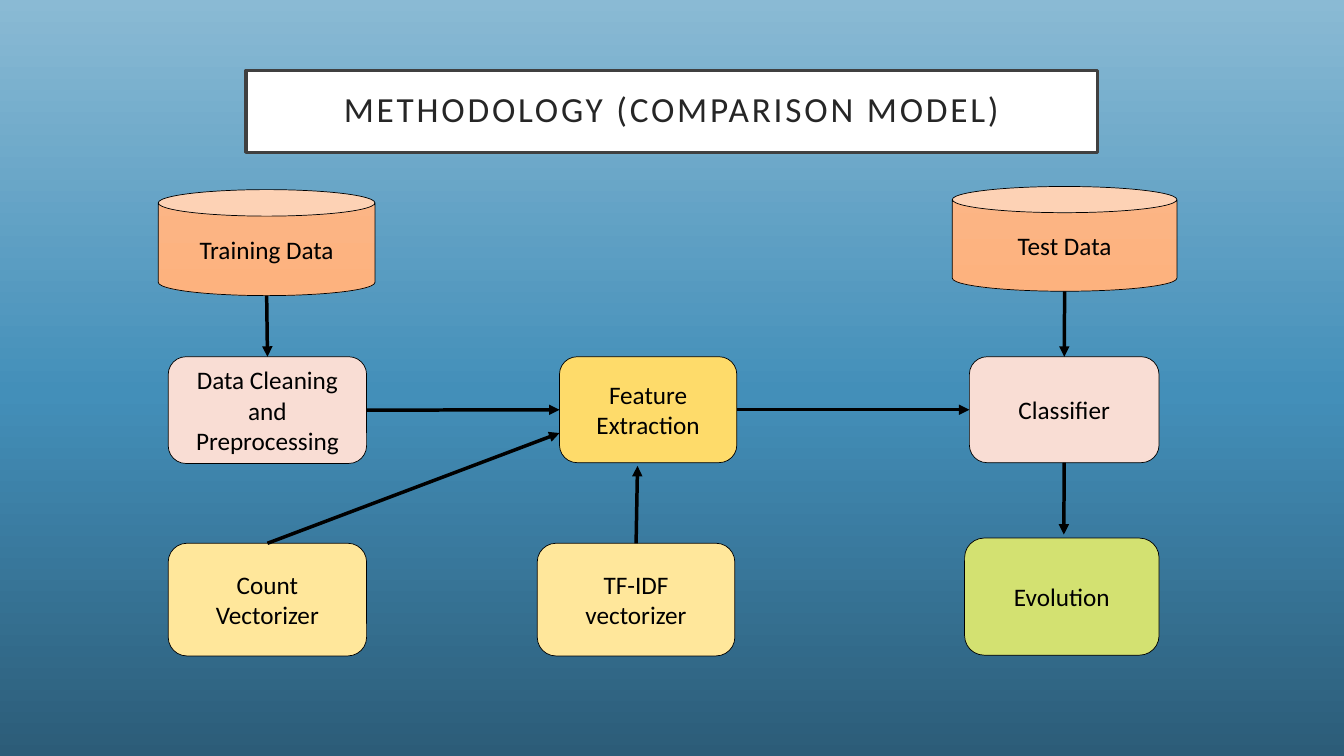
from lxml import etree
from pptx import Presentation
from pptx.dml.color import RGBColor
from pptx.enum.shapes import MSO_CONNECTOR, MSO_SHAPE as Preset
from pptx.enum.text import MSO_ANCHOR, PP_ALIGN
from pptx.oxml.ns import qn
from pptx.util import Cm, Pt

BLACK, WHITE = "000000", "FFFFFF"
PEACH, ROSE, CREAM, GOLD, LIME = (
    ("FCB585", "FDB27E"), "F9DDD4", "FFE79B", "FEDB6A", "D3E171")
SKY = [(0, "2C5C78"), (48, "438FB9"), (100, "8ABAD4")]


def color(value):
    return RGBColor.from_string(value)


class Diagram:
    """Style of the flow diagram and the slide it is drawn on."""

    font = "Calibri"
    text_size = 18
    box_line = 0.5
    arrow_line = 2.5

    def __init__(self, slide):
        self.slide = slide

    def gradient(self, fill, element, stops, angle):
        """Fill with (percent, colour) stops; the angle runs clockwise."""
        fill.gradient()
        fill.gradient_angle = 360 - angle
        stop_list = element.xpath(".//a:gsLst")[0]
        for old_stop in list(stop_list):
            stop_list.remove(old_stop)
        for percent, value in stops:
            stop = etree.SubElement(stop_list, qn("a:gs"), pos=str(percent * 1000))
            etree.SubElement(stop, qn("a:srgbClr"), val=value)

    def background(self, stops, angle):
        self.gradient(self.slide.background.fill, self.slide.element, stops, angle)

    def outline(self, line, value, width):
        line.color.rgb = color(value)
        line.width = Pt(width)

    def label(self, shape, text, size, text_color):
        frame = shape.text_frame
        formats = {"word_wrap": True, "vertical_anchor": MSO_ANCHOR.MIDDLE}
        for name, value in formats.items():
            setattr(frame, name, value)
        paragraph = frame.paragraphs[0]
        paragraph.alignment = PP_ALIGN.CENTER
        run = paragraph.add_run()
        run.text = text
        for name, value in {"name": self.font, "size": Pt(size)}.items():
            setattr(run.font, name, value)
        run.font.color.rgb = color(text_color)
        return paragraph

    def shape(self, preset, place, fill, line_color, line_width):
        shape = self.slide.shapes.add_shape(preset, *map(Cm, place))
        shape.shadow.inherit = False
        if isinstance(fill, str):
            shape.fill.solid()
            shape.fill.fore_color.rgb = color(fill)
        else:
            self.gradient(shape.fill, shape.element, zip((0, 100), fill), 90)
        self.outline(shape.line, line_color, line_width)
        return shape

    def node(self, text, preset, place, fill):
        shape = self.shape(preset, place, fill, BLACK, self.box_line)
        self.label(shape, text, self.text_size, BLACK)
        return shape

    def title(self, text, place):
        shape = self.shape(Preset.RECTANGLE, place, WHITE, "404040", 2.5)
        for side in ("left", "top", "right", "bottom"):
            setattr(shape.text_frame, f"margin_{side}", Cm(0.5))
        paragraph = self.label(shape, text, 25.2, "262626")
        paragraph.line_spacing = 0.9
        shape.element.xpath(".//a:rPr")[0].set("spc", "200")

    def arrow(self, start, start_at, end, end_at):
        """Join two shapes at points given as fractions of their size."""
        points = []
        for shape, (across, down) in ((start, start_at), (end, end_at)):
            points += [int(shape.left + across * shape.width),
                       int(shape.top + down * shape.height)]
        connector = self.slide.shapes.add_connector(MSO_CONNECTOR.STRAIGHT, *points)
        self.outline(connector.line, BLACK, self.arrow_line)
        properties = connector.element.spPr
        etree.SubElement(properties.find(qn("a:ln")), qn("a:tailEnd"), type="triangle")
        etree.SubElement(properties, qn("a:effectLst"))


def main():
    presentation = Presentation()
    presentation.slide_width, presentation.slide_height = Cm(33.87), Cm(19.05)
    diagram = Diagram(presentation.slides.add_slide(presentation.slide_layouts[6]))
    diagram.background(SKY, 270)
    diagram.title("METHODOLOGY (COMPARISON MODEL)", (6.2, 1.78, 21.46, 2.06))

    can, box = Preset.CAN, Preset.ROUNDED_RECTANGLE
    nodes = [
        ("Training Data", can, (3.99, 4.78, 5.46, 2.67), PEACH),
        ("Test Data", can, (24, 4.7, 5.66, 2.64), PEACH),
        ("Data Cleaning and Preprocessing", box, (4.24, 8.99, 5, 2.69), ROSE),
        ("Classifier", box, (24.43, 8.99, 4.78, 2.67), ROSE),
        ("TF-IDF vectorizer", box, (13.54, 13.69, 4.98, 2.84), CREAM),
        ("Count Vectorizer", box, (4.24, 13.69, 5, 2.84), CREAM),
        ("Feature Extraction", box, (14.1, 8.99, 4.47, 2.67), GOLD),
        ("Evolution", box, (24.31, 13.56, 4.9, 2.95), LIME),
    ]
    training, test, cleaning, classifier, tfidf, count, feature, evolution = (
        diagram.node(*node) for node in nodes)

    top, bottom, left, right = (0.5, 0), (0.5, 1), (0, 0.5), (1, 0.5)
    arrows = [
        (training, bottom, cleaning, top),
        (tfidf, top, feature, (0.44, 1.03)),
        (feature, right, classifier, left),
        (test, bottom, classifier, top),
        (classifier, bottom, evolution, (0.51, -0.03)),
        (cleaning, right, feature, left),
        (count, top, feature, (0, 0.72)),
    ]
    for arrow in arrows:
        diagram.arrow(*arrow)

    presentation.save("out.pptx")


if __name__ == "__main__":
    main()
